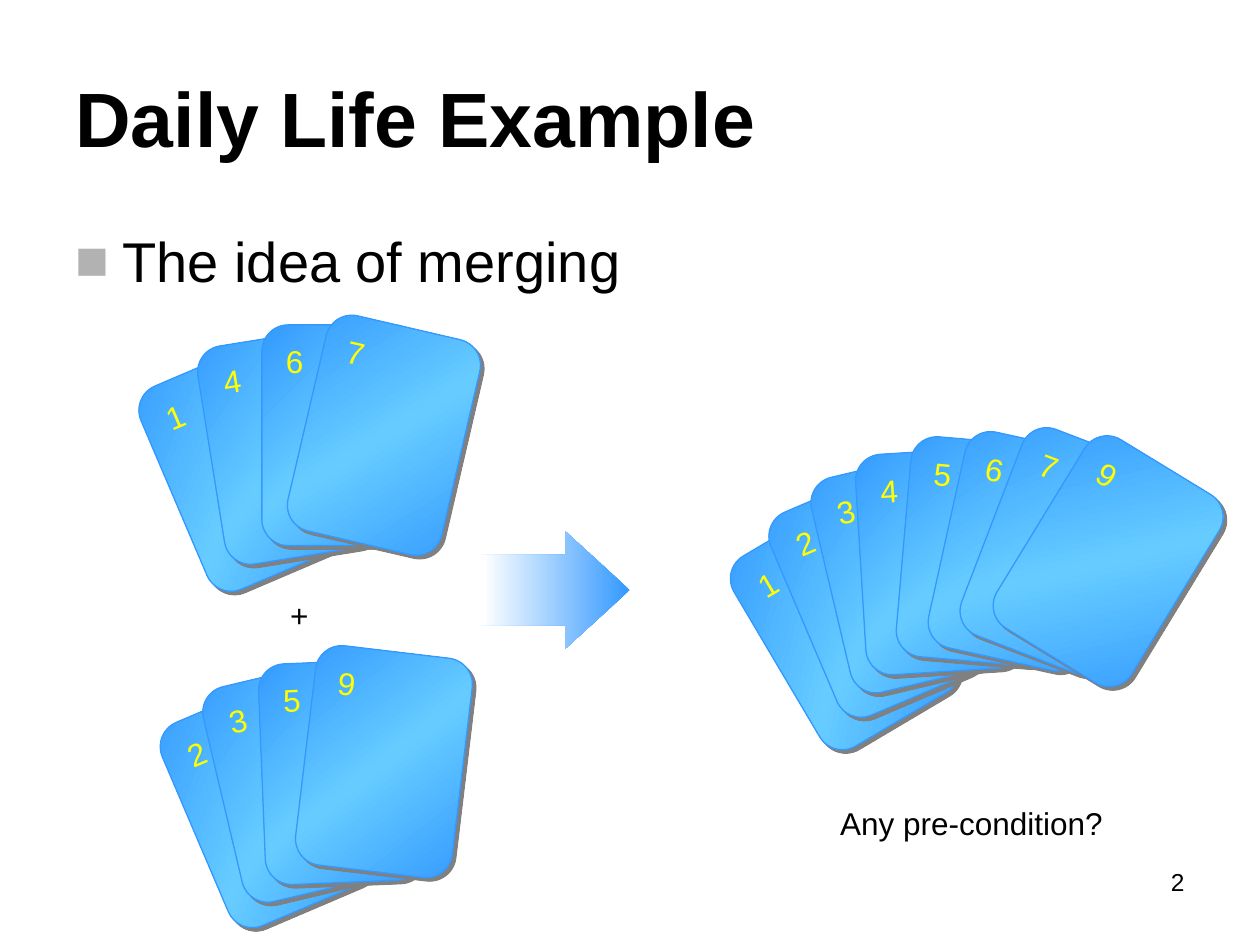
from math import cos, radians, sin

from pptx import Presentation
from pptx.dml.color import RGBColor
from pptx.enum.shapes import MSO_SHAPE
from pptx.enum.text import MSO_ANCHOR, PP_ALIGN
from pptx.oxml import parse_xml
from pptx.oxml.ns import nsdecls, qn
from pptx.util import Cm, Pt

THEME = {
    "font": "Arial",
    "black": "000000", "label": "FFFF00", "bullet": "B2B2B2",
    "edge": "3399FF", "glow": "66CCFF", "white": "FFFFFF", "shadow": "808080",
    "title": 44, "body": 32, "note": 18, "number": 14,
}


def add_text(shapes, text, box, size, color="black", rotation=0, bold=False,
             align=PP_ALIGN.LEFT, anchor=MSO_ANCHOR.TOP):
    shape = shapes.add_textbox(*map(Cm, box))
    shape.rotation = rotation
    frame = shape.text_frame
    frame.word_wrap, frame.vertical_anchor = True, anchor
    paragraph = frame.paragraphs[0]
    paragraph.alignment = align
    run = paragraph.add_run()
    run.text = text
    run.font.color.rgb = RGBColor.from_string(THEME[color])
    font_format = {"name": THEME["font"], "size": Pt(THEME[size]), "bold": bold}
    for name, value in font_format.items():
        setattr(run.font, name, value)
    return paragraph


def fill_gradient(shape, colors, clockwise_angle):
    shape.shadow.inherit = False
    shape.fill.gradient()
    shape.fill.gradient_angle = 360 - clockwise_angle
    stops = shape.element.spPr.find(qn("a:gradFill")).find(qn("a:gsLst"))
    for stop in list(stops):
        stops.remove(stop)
    for index, color in enumerate(colors):
        position = 100000 * index // (len(colors) - 1)
        stops.append(parse_xml(
            f'<a:gs {nsdecls("a")} pos="{position}">'
            f'<a:srgbClr val="{THEME[color]}"/></a:gs>'))


presentation = Presentation()
presentation.slide_width, presentation.slide_height = Cm(25.4), Cm(19.05)
slide = presentation.slides.add_slide(presentation.slide_layouts[6])

# Title and bullet
add_text(slide.shapes, "Daily Life Example", (1.27, 0.76, 22.86, 3.18), "title",
         bold=True, anchor=MSO_ANCHOR.MIDDLE)
paragraph = add_text(slide.shapes, "The idea of merging",
                     (1.27, 4.45, 22.86, 12.57), "body")
properties = paragraph._p.get_or_add_pPr()
properties.set("marL", str(Cm(0.95)))
properties.set("indent", str(Cm(-0.95)))
for bullet in (f'<a:buClr {nsdecls("a")}><a:srgbClr val="{THEME["bullet"]}"/></a:buClr>',
               f'<a:buFont {nsdecls("a")} typeface="{THEME["font"]}"/>',
               f'<a:buChar {nsdecls("a")} char="■"/>'):
    properties.append(parse_xml(bullet))

# Arrow from the two hands to the merged hand
arrow = slide.shapes.add_shape(MSO_SHAPE.UP_ARROW, Cm(10.03), Cm(10.41), Cm(2.36), Cm(2.97))
arrow.rotation = 90
arrow.adjustments[0], arrow.adjustments[1] = 0.6, 0.55
fill_gradient(arrow, ("edge", "white"), 90)
arrow.line.fill.background()

# Hands of cards: number, left, top, rotation
HANDS = [
    [(1, 3.38, 7.19, 336.9), (4, 4.24, 6.78, 350.9),
     (6, 5.28, 6.55, 0), (7, 6.15, 6.55, 13.1)],
    [(2, 3.81, 13.97, 336.9), (3, 4.45, 13.54, 346.7),
     (5, 5.28, 13.34, 357.7), (9, 6.15, 13.13, 6.8)],
    [(1, 15.44, 10.36, 329.4), (2, 16.08, 9.73, 336.9),
     (3, 16.71, 9.32, 346.7), (4, 17.35, 9.09, 356.5),
     (5, 18.21, 8.89, 4.9), (6, 19.05, 8.89, 12.4),
     (7, 19.89, 8.89, 21), (9, 20.75, 9.09, 31.4)],
]
CARD_WIDTH, CARD_HEIGHT = 3.18, 4.45
LABEL_WIDTH, LABEL_HEIGHT = 1.27, 1.02
LABEL_X, LABEL_Y = -0.72, -1.49  # label centre seen from the card centre

for hand in HANDS:
    for number, left, top, rotation in hand:
        group = slide.shapes.add_group_shape()
        card = group.shapes.add_shape(MSO_SHAPE.ROUNDED_RECTANGLE, Cm(left), Cm(top),
                                      Cm(CARD_WIDTH), Cm(CARD_HEIGHT))
        card.rotation = rotation
        fill_gradient(card, ("edge", "glow", "edge"), 45)
        card.line.color.rgb = RGBColor.from_string(THEME["edge"])
        card.line.width = Pt(0.75)
        card.element.spPr.find(qn("a:effectLst")).append(parse_xml(
            f'<a:outerShdw {nsdecls("a")} dist="{Pt(2.8)}" dir="2700000" algn="ctr" '
            f'rotWithShape="0"><a:srgbClr val="{THEME["shadow"]}"/></a:outerShdw>'))

        # The label turns with its card around the card centre
        turn = radians(rotation)
        center_x = left + CARD_WIDTH / 2 + LABEL_X * cos(turn) - LABEL_Y * sin(turn)
        center_y = top + CARD_HEIGHT / 2 + LABEL_X * sin(turn) + LABEL_Y * cos(turn)
        add_text(group.shapes, str(number),
                 (center_x - LABEL_WIDTH / 2, center_y - LABEL_HEIGHT / 2,
                  LABEL_WIDTH, LABEL_HEIGHT), "note", "label", rotation)

# Plus sign, question and slide number
add_text(slide.shapes, "+", (3.81, 11.89, 4.45, 1.02), "note", align=PP_ALIGN.CENTER)
add_text(slide.shapes, "Any pre-condition?", (16.51, 16.08, 6.15, 1.02), "note",
         align=PP_ALIGN.CENTER)
add_text(slide.shapes, "2", (18.21, 17.35, 5.92, 1.32), "number", align=PP_ALIGN.RIGHT)

presentation.save("out.pptx")
